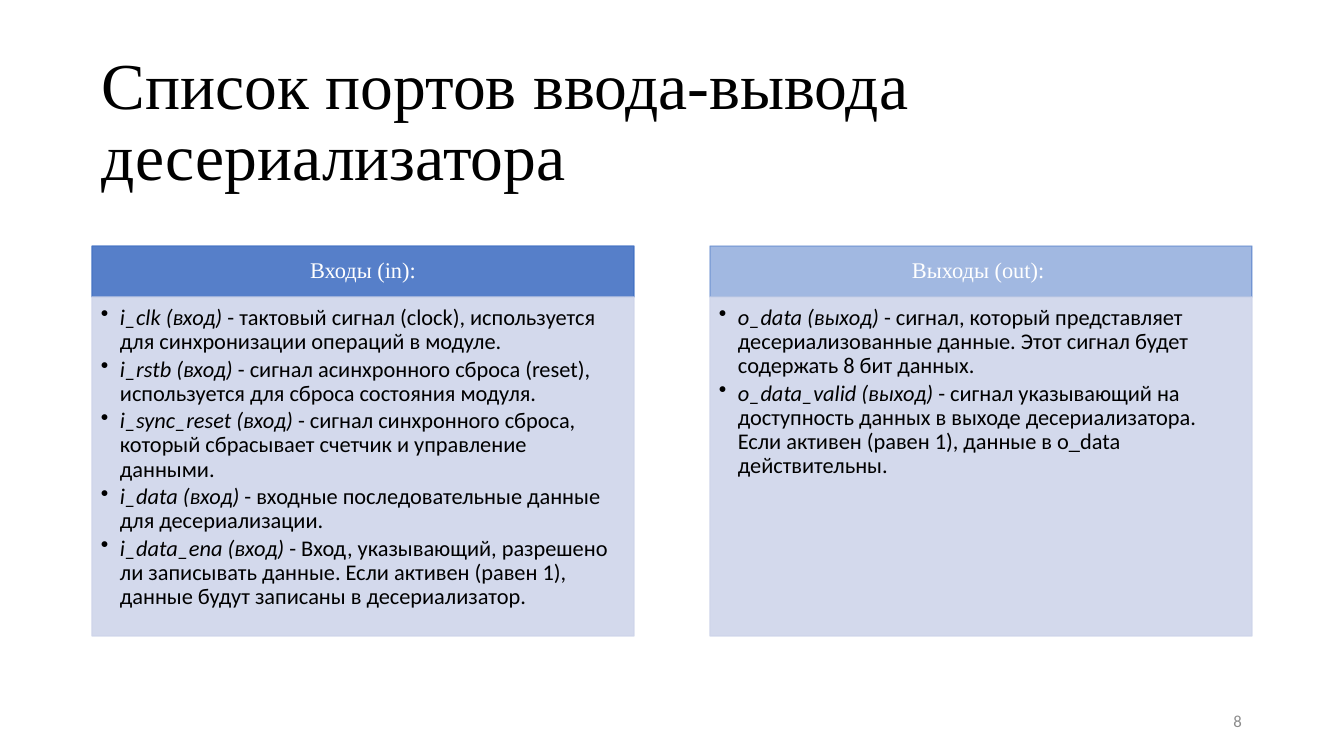
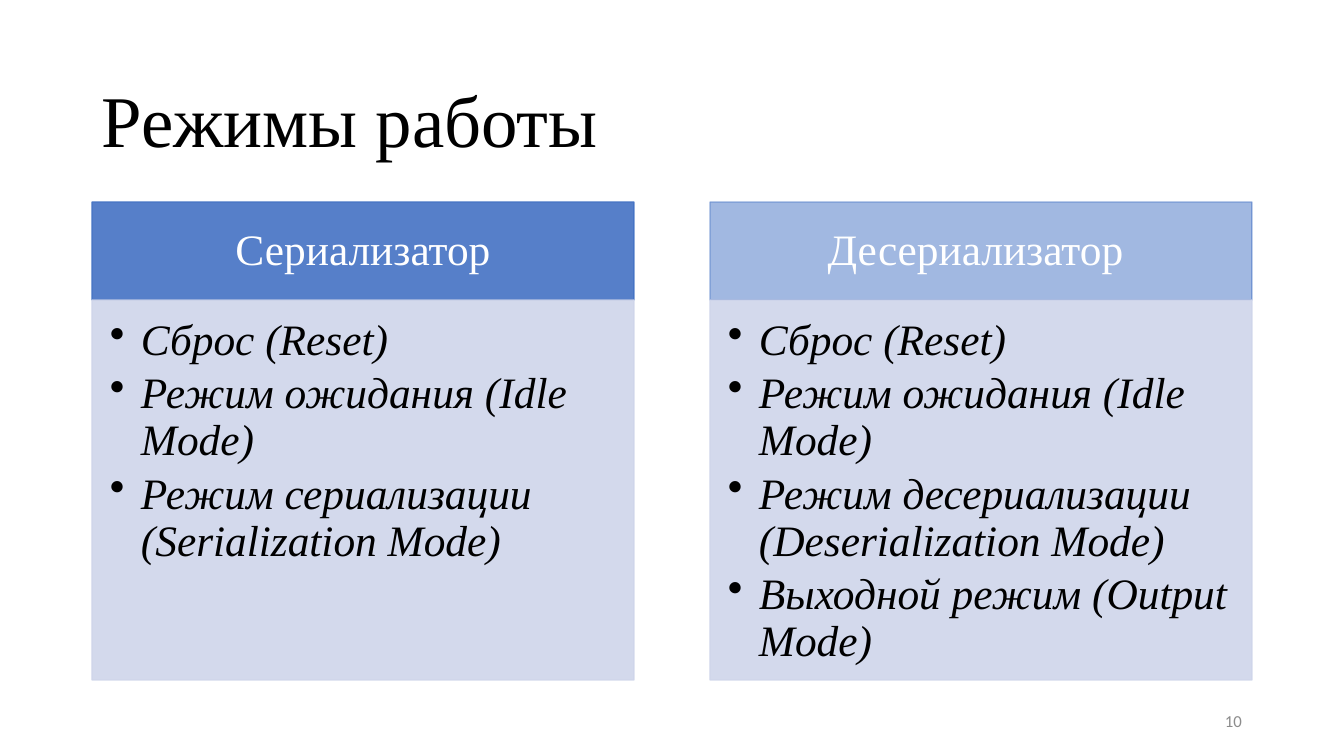
from dataclasses import dataclass

from lxml import etree
from pptx import Presentation
from pptx.dml.color import RGBColor
from pptx.enum.shapes import MSO_SHAPE
from pptx.enum.text import MSO_ANCHOR, MSO_AUTO_SIZE, PP_ALIGN
from pptx.oxml.ns import qn
from pptx.util import Pt

RECT = MSO_SHAPE.RECTANGLE
TOP, MIDDLE = MSO_ANCHOR.TOP, MSO_ANCHOR.MIDDLE
LEFT, CENTER, RIGHT = PP_ALIGN.LEFT, PP_ALIGN.CENTER, PP_ALIGN.RIGHT
NO_FIT = MSO_AUTO_SIZE.NONE


@dataclass(frozen=True)
class Theme:
    serif: str = "Times New Roman"
    sans: str = "Calibri"
    ink: str = "000000"
    white: str = "FFFFFF"
    head: str = "4472C4"
    body: str = "CFD5EA"
    gray: str = "8C8C8C"
    number: int = 12
    heads: tuple = (90, 50)  # header opacity per column, percent
    solid: int = 90


THEME = Theme()

# Each item is (italic part, upright part).
SLIDES = [
    {
        "title": "Список портов ввода-вывода десериализатора",
        "title_size": 46.8, "number": "8",
        "font": THEME.sans, "size": 16, "indent": 19, "pad": 1,
        "top": 246, "head": 51, "body": 339,
        "columns": [
            ("Входы (in):", [
                ("i_clk (вход)", " - тактовый сигнал (clock), используется "
                 "для синхронизации операций в модуле."),
                ("i_rstb (вход)", " - сигнал асинхронного сброса (reset), "
                 "используется для сброса состояния модуля."),
                ("i_sync_reset (вход)", " - сигнал синхронного сброса, "
                 "который сбрасывает счетчик и управление данными."),
                ("i_data (вход)", " - входные последовательные данные "
                 "для десериализации."),
                ("i_data_ena (вход)", " - Вход, указывающий, разрешено ли "
                 "записывать данные. Если активен (равен 1), данные будут "
                 "записаны в десериализатор."),
            ]),
            ("Выходы (out): ", [
                ("o_data (выход)", " - сигнал, который представляет "
                 "десериализованные данные. Этот сигнал будет содержать "
                 "8 бит данных."),
                ("o_data_valid (выход)", " - сигнал указывающий на "
                 "доступность данных в выходе десериализатора. Если активен "
                 "(равен 1), данные в o_data действительны."),
            ]),
        ],
    },
    {
        "title": "Режимы работы",
        "title_size": 52, "number": "10",
        "font": THEME.serif, "size": 31, "indent": 31, "pad": 2,
        "top": 202, "head": 98, "body": 380,
        "columns": [
            ("Сериализатор", [
                ("Сброс (Reset)",),
                ("Режим ожидания (Idle Mode)",),
                ("Режим сериализации (Serialization Mode)",),
            ]),
            ("Десериализатор ", [
                ("Сброс (Reset)",),
                ("Режим ожидания (Idle Mode)",),
                ("Режим десериализации (Deserialization Mode)",),
                ("Выходной режим (Output Mode)",),
            ]),
        ],
    },
]

WIDTH, HEIGHT = 1344, 756
MARGIN, COLUMN = 92, 542
SPAN = WIDTH - 2 * MARGIN
STEP = SPAN - COLUMN
TITLE_BOX = (MARGIN, 61, SPAN, 125)
NUMBER_BOX = (950, 701, 302, 40)
HEAD_PAD = (12, 7, 12, 7)
BODY_PAD = (9, 9, 12, 14)


def px(n):
    return round(n * 914400 / 100.8)


def place(shape, box):
    shape.left, shape.top, shape.width, shape.height = map(px, box)


def write(shape, items, *, font, size, color, align=LEFT, anchor=MIDDLE,
          pad=(10, 5, 10, 5), line=0.9, italic=False, indent=0):
    """Write items as paragraphs; italic marks each first run, indent adds bullets."""
    frame = shape.text_frame
    frame.word_wrap, frame.auto_size = True, NO_FIT
    frame.vertical_anchor = anchor
    (frame.margin_left, frame.margin_top,
     frame.margin_right, frame.margin_bottom) = map(px, pad)
    for i, parts in enumerate(items):
        para = frame.add_paragraph() if i else frame.paragraphs[0]
        para.alignment, para.line_spacing = align, line
        para.space_before = Pt(0)
        if indent:
            para.space_after = Pt(round(size * 0.15, 1))
            bullet(para, indent)
        for j, part in enumerate(parts):
            run = para.add_run()
            run.text = part
            run.font.name, run.font.size = font, Pt(size)
            run.font.color.rgb = RGBColor.from_string(color)
            run.font.italic = italic and j == 0


def bullet(para, indent):
    props = para._p.get_or_add_pPr()
    props.set("marL", str(px(indent)))
    props.set("indent", str(-px(indent)))
    etree.SubElement(props, qn("a:buChar")).set("char", "•")


def fade(fill, percent):
    """Set the opacity of a solid fill."""
    color = fill._xPr.find(qn("a:solidFill"))[0]
    etree.SubElement(color, qn("a:alpha")).set("val", str(percent * 1000))


def panel(slide, box, color, alpha):
    shape = slide.shapes.add_shape(RECT, *map(px, box))
    shape.shadow.inherit = False
    shape.line.width = Pt(1)
    for fill in (shape.fill, shape.line.fill):
        fill.solid()
        fill.fore_color.rgb = RGBColor.from_string(color)
        fade(fill, alpha)
    return shape


def build(deck, data):
    slide = deck.slides.add_slide(deck.slide_layouts[5])
    title = slide.shapes.title
    place(title, TITLE_BOX)
    write(title, [(data["title"],)], font=THEME.serif,
          size=data["title_size"], color=THEME.ink)

    top, head, size = data["top"], data["head"], data["size"]
    for i, (name, items) in enumerate(data["columns"]):
        left = MARGIN + i * STEP
        cap = panel(slide, (left, top, COLUMN, head),
                    THEME.head, THEME.heads[i])
        write(cap, [(name,)], font=THEME.serif, size=size, color=THEME.white,
              align=CENTER, pad=[n * data["pad"] for n in HEAD_PAD])
        body = panel(slide, (left, top + head, COLUMN, data["body"]),
                     THEME.body, THEME.solid)
        write(body, items, font=data["font"], size=size, color=THEME.ink,
              anchor=TOP, pad=[n * data["pad"] for n in BODY_PAD],
              italic=True, indent=data["indent"])

    number = slide.shapes.add_textbox(*map(px, NUMBER_BOX))
    write(number, [(data["number"],)], font=THEME.sans, size=THEME.number,
          color=THEME.gray, align=RIGHT, line=1.0)


def main():
    deck = Presentation()
    deck.slide_width, deck.slide_height = px(WIDTH), px(HEIGHT)
    for data in SLIDES:
        build(deck, data)
    deck.save("out.pptx")


if __name__ == "__main__":
    main()
